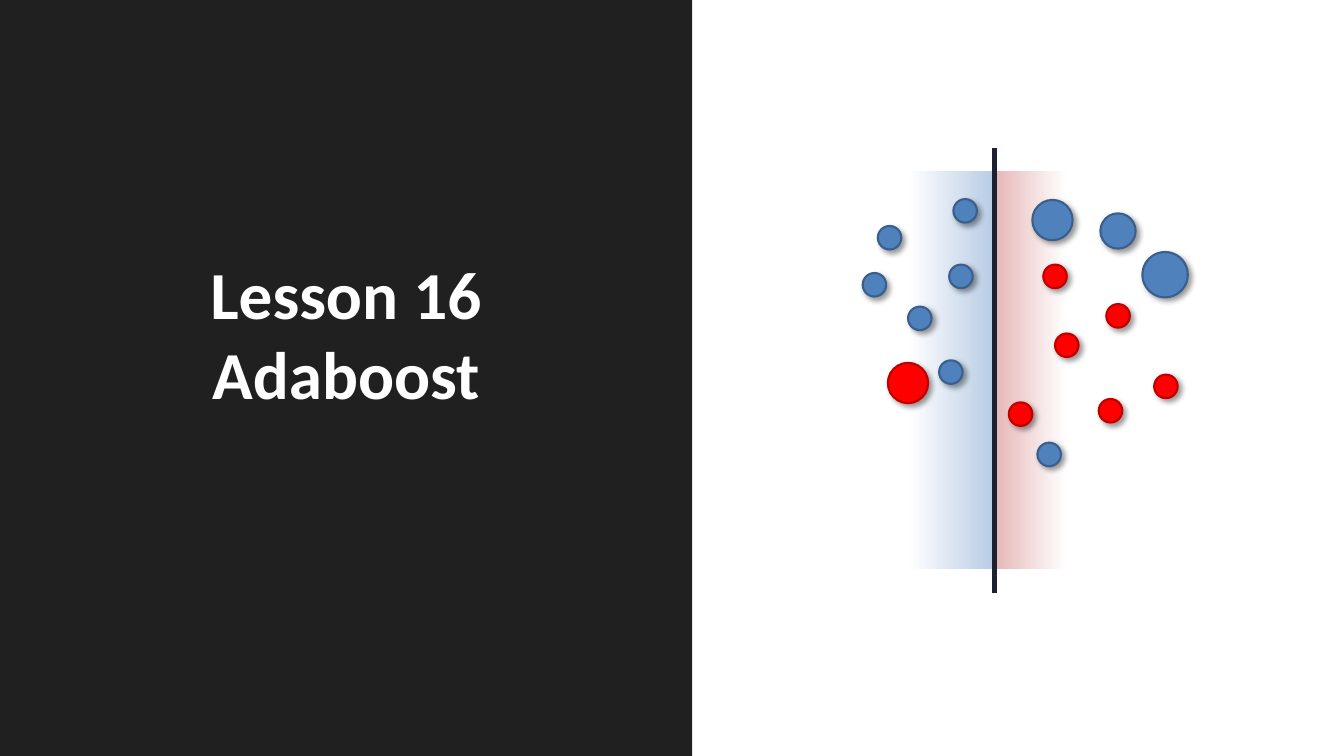
import lxml.etree
import pptx
import pptx.dml.color
import pptx.enum.shapes
import pptx.enum.text
import pptx.oxml.ns
import pptx.util

COLUMNS, ROWS = 160, 90
SHAPES = pptx.enum.shapes.MSO_SHAPE
SMALL = 2.8

# Each sample: centre column, centre row, diameter (its weight)
BLUE_SAMPLES = [
    (105.9, 28.3, SMALL), (114.9, 25.1, SMALL), (109.5, 37.9, SMALL),
    (104.1, 33.9, SMALL), (114.4, 32.9, SMALL), (113.2, 44.3, SMALL),
    (124.9, 54.1, SMALL), (125.3, 26.2, 4.8), (133.1, 27.5, 4.2),
    (138.7, 32.7, 5.4),
]
RED_SAMPLES = [
    (127.0, 41.1, SMALL), (108.1, 45.6, 4.8), (121.5, 49.3, SMALL),
    (133.1, 37.6, SMALL), (132.2, 48.9, SMALL), (138.8, 46.0, SMALL),
    (125.6, 32.9, SMALL),
]


def rgb(hex_code):
    return pptx.dml.color.RGBColor.from_string(hex_code)


def cells(*counts):
    """Turn counts of square grid cells into slide lengths."""
    return [pptx.util.Inches(count / 12) for count in counts]


def write(frame, lines, size=18, color="000000", bold=False, font="Calibri",
          align=pptx.enum.text.PP_ALIGN.CENTER):
    for index, line in enumerate(lines):
        paragraph = frame.paragraphs[0] if index == 0 else frame.add_paragraph()
        paragraph.alignment = align
        run = paragraph.add_run()
        run.text = line
        run.font.name = font
        run.font.size = pptx.util.Pt(size)
        run.font.bold = bold
        run.font.color.rgb = rgb(color)


def add_effects(properties):
    return lxml.etree.SubElement(properties, pptx.oxml.ns.qn("a:effectLst"))


class LessonSlide:
    panel_color = "202020"
    title_color = "FFFFFF"
    boundary_color = "1C2232"

    def __init__(self, presentation):
        self.slide = presentation.slides.add_slide(presentation.slide_layouts[5])
        self.shapes = self.slide.shapes

    def shape(self, kind, left, top, width, height):
        shape = self.shapes.add_shape(kind, *cells(left, top, width, height))
        shape.shadow.inherit = False
        return shape

    def panel(self, width):
        panel = self.shape(SHAPES.RECTANGLE, 0, 0, width, ROWS)
        panel.fill.solid()
        panel.fill.fore_color.rgb = rgb(self.panel_color)
        panel.line.fill.background()

    def title(self, lines, left, top, width, height):
        title = self.shapes.title
        title.left, title.top, title.width, title.height = cells(left, top, width, height)
        frame = title.text_frame
        frame.margin_left = frame.margin_right = 0
        frame.margin_top = frame.margin_bottom = 0
        frame.word_wrap = True
        frame.auto_size = pptx.enum.text.MSO_AUTO_SIZE.SHAPE_TO_FIT_TEXT
        write(frame, lines, size=48, color=self.title_color, bold=True)
        # Bring the title in front of the panel
        self.shapes._spTree.append(title._element)

    def band(self, left, top, width, height, *stops):
        """Draw a rectangle shaded left to right through (position, colour) stops."""
        band = self.shape(SHAPES.RECTANGLE, left, top, width, height)
        band.line.fill.background()
        band.fill.gradient()
        band.fill.gradient_angle = 0
        for stop, (position, color) in zip(band.fill.gradient_stops, stops):
            stop.position = position
            stop.color.rgb = rgb(color)

    def sample(self, column, row, diameter, fill, outline):
        dot = self.shape(SHAPES.FLOWCHART_CONNECTOR, column - diameter / 2,
                         row - diameter / 2, diameter, diameter)
        dot.fill.solid()
        dot.fill.fore_color.rgb = rgb(fill)
        dot.line.color.rgb = rgb(outline)
        dot.line.width = pptx.util.Pt(1.5)
        qn = pptx.oxml.ns.qn
        effects = dot._element.spPr.find(qn("a:effectLst"))
        shadow = lxml.etree.SubElement(
            effects, qn("a:outerShdw"), blurRad=str(pptx.util.Pt(4)),
            dist=str(pptx.util.Pt(3)), dir=str(45 * 60000), algn="tl",
            rotWithShape="0")
        black = lxml.etree.SubElement(shadow, qn("a:srgbClr"), val="000000")
        lxml.etree.SubElement(black, qn("a:alpha"), val="40000")

    def boundary(self, column, bottom, top):
        line = self.shapes.add_connector(
            pptx.enum.shapes.MSO_CONNECTOR.STRAIGHT,
            *cells(column, bottom, column, top))
        line.line.color.rgb = rgb(self.boundary_color)
        line.line.width = pptx.util.Pt(3)
        add_effects(line._element.spPr)


def main():
    presentation = pptx.Presentation()
    presentation.slide_width, presentation.slide_height = cells(COLUMNS, ROWS)

    lesson = LessonSlide(presentation)
    panel_width = 82.4
    lesson.panel(panel_width)
    lesson.title(["Lesson 16", "Adaboost"], 0, 29.9, panel_width, 19.4)

    boundary, band_top, band_height = 118.4, 20.3, 47.4
    blue_width, red_width = 10.3, 8.6
    lesson.band(boundary, band_top, red_width, band_height,
                (0.02, "E6B9B8"), (1, "FFFFFF"))
    lesson.band(boundary - blue_width, band_top, blue_width, band_height,
                (0, "FFFFFF"), (0.98, "B9CDE5"))
    for samples, fill, outline in [(BLUE_SAMPLES, "4F81BD", "3A5F8C"),
                                   (RED_SAMPLES, "FF0000", "C00000")]:
        for column, row, diameter in samples:
            lesson.sample(column, row, diameter, fill, outline)
    lesson.boundary(boundary, 70.6, 17.6)

    presentation.save("out.pptx")


if __name__ == "__main__":
    main()
